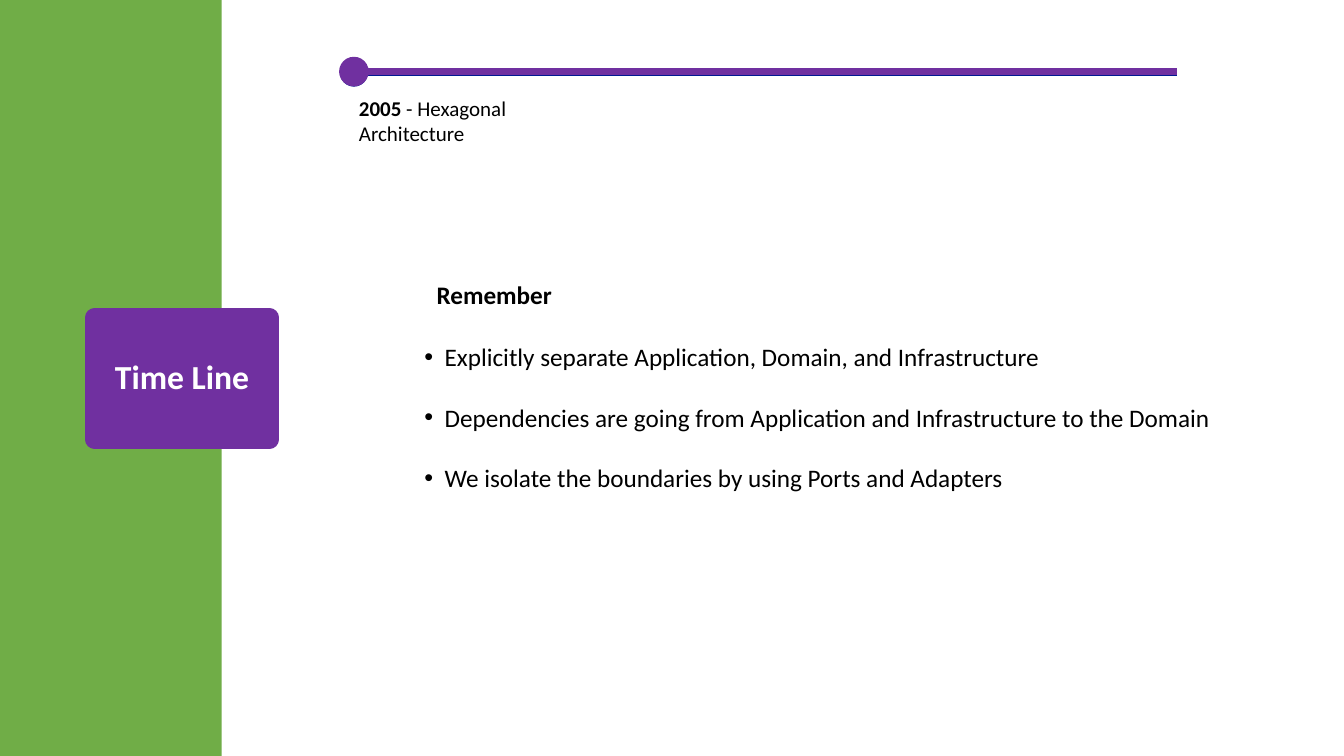
"""Build the Time Line slide on Hexagonal Architecture."""
from lxml.etree import SubElement
from pptx import Presentation
from pptx.dml.color import RGBColor
from pptx.enum.shapes import MSO_CONNECTOR, MSO_SHAPE
from pptx.enum.text import MSO_ANCHOR, MSO_AUTO_SIZE, PP_ALIGN
from pptx.oxml.ns import qn
from pptx.util import Inches, Pt

HEADING = "Time Line"
MILESTONE = [("2005", True), (" - Hexagonal Architecture", False)]
REMINDER = [("Remember", True)]
PRINCIPLES = [
    "Explicitly separate Application, Domain, and Infrastructure",
    "Dependencies are going from Application and Infrastructure to the Domain",
    "We isolate the boundaries by using Ports and Adapters",
]
GREEN, PURPLE, NAVY, WHITE, BLACK = "70AD47", "7030A0", "011993", "FFFFFF", "000000"
TIMELINE_LAYERS = [(0.72, NAVY, 0), (0.71, PURPLE, 1)]
TIMELINE_START, TIMELINE_END = 3.4, 11.67
DOT_LEFT, DOT_SIZE = 3.37, 0.28
INSET = Inches(0.05)
FRAME = {"margin_left": INSET, "margin_right": INSET, "margin_top": INSET,
         "margin_bottom": INSET, "vertical_anchor": MSO_ANCHOR.TOP,
         "auto_size": MSO_AUTO_SIZE.NONE, "word_wrap": True}


def apply(target, values):
    for name, value in values.items():
        setattr(target, name, value)


def paint(color_format, color):
    color_format.rgb = RGBColor.from_string(color)


def fill(target, color):
    target.fill.solid()
    paint(target.fill.fore_color, color)


def outline(target, color, width):
    fill(target.line, color)
    target.line.width = Pt(width)


def place(target, left, top, width, height):
    apply(target, {"left": Inches(left), "top": Inches(top),
                   "width": Inches(width), "height": Inches(height)})


def write(paragraph, runs, size, color):
    for words, bold in runs:
        run = paragraph.add_run()
        run.text = words
        apply(run.font, {"name": "Calibri", "size": Pt(size), "bold": bold})
        paint(run.font.color, color)


def add_solid(slide, preset, box, color):
    solid = slide.shapes.add_shape(preset, *map(Inches, box))
    solid.shadow.inherit = False
    fill(solid, color)
    solid.line.fill.background()
    return solid


def add_label(slide, box, runs, size, wrap):
    label = slide.shapes.add_textbox(*map(Inches, box))
    apply(label.text_frame, {**FRAME, "word_wrap": wrap})
    write(label.text_frame.paragraphs[0], runs, size, BLACK)


def add_heading(slide):
    heading = slide.shapes.title
    place(heading, 0.94, 3.15, 1.73, 1.21)
    fill(heading, PURPLE)
    outline(heading, PURPLE, 13.75)
    SubElement(heading.element.spPr.find(qn("a:ln")), qn("a:round"))
    apply(heading.text_frame, {**FRAME, "vertical_anchor": MSO_ANCHOR.MIDDLE})
    paragraph = heading.text_frame.paragraphs[0]
    apply(paragraph, {"alignment": PP_ALIGN.CENTER, "line_spacing": 0.9})
    write(paragraph, [(HEADING, True)], 24, WHITE)


def add_principles(slide):
    body = slide.placeholders[1]
    place(body, 4.16, 3.34, 7.96, 1.85)
    frame = body.text_frame
    apply(frame, FRAME)
    for index, principle in enumerate(PRINCIPLES):
        paragraph = frame.add_paragraph() if index else frame.paragraphs[0]
        properties = paragraph._p.get_or_add_pPr()
        properties.set("marL", str(Inches(0.2)))
        properties.set("indent", str(Inches(-0.2)))
        SubElement(properties, qn("a:buFont"), typeface="Arial")
        SubElement(properties, qn("a:buChar"), char="•")
        apply(paragraph, {"space_before": Pt(21.5 if index else 0),
                          "alignment": PP_ALIGN.LEFT})
        write(paragraph, [(principle, False)], 18, BLACK)


def add_timeline(slide):
    for y, color, dot_outline in TIMELINE_LAYERS:
        rule = slide.shapes.add_connector(
            MSO_CONNECTOR.STRAIGHT, Inches(TIMELINE_START), Inches(y),
            Inches(TIMELINE_END), Inches(y))
        outline(rule, color, 5)
        SubElement(rule.element.spPr, qn("a:effectLst"))
        dot = add_solid(slide, MSO_SHAPE.OVAL,
                        (DOT_LEFT, y - DOT_SIZE / 2, DOT_SIZE, DOT_SIZE), color)
        if dot_outline:
            outline(dot, color, dot_outline)


def main():
    deck = Presentation()
    apply(deck, {"slide_width": Inches(13.33), "slide_height": Inches(7.5)})
    slide = deck.slides.add_slide(deck.slide_layouts[1])
    band = add_solid(slide, MSO_SHAPE.RECTANGLE, (0, 0, 2.2, 7.5), GREEN)
    slide.shapes.element.insert(2, band.element)
    add_heading(slide)
    add_principles(slide)
    add_timeline(slide)
    add_label(slide, (3.51, 0.9, 1.79, 0.57), MILESTONE, 15, True)
    add_label(slide, (4.28, 2.72, 1.38, 0.39), REMINDER, 18, False)
    deck.save("out.pptx")


if __name__ == "__main__":
    main()
